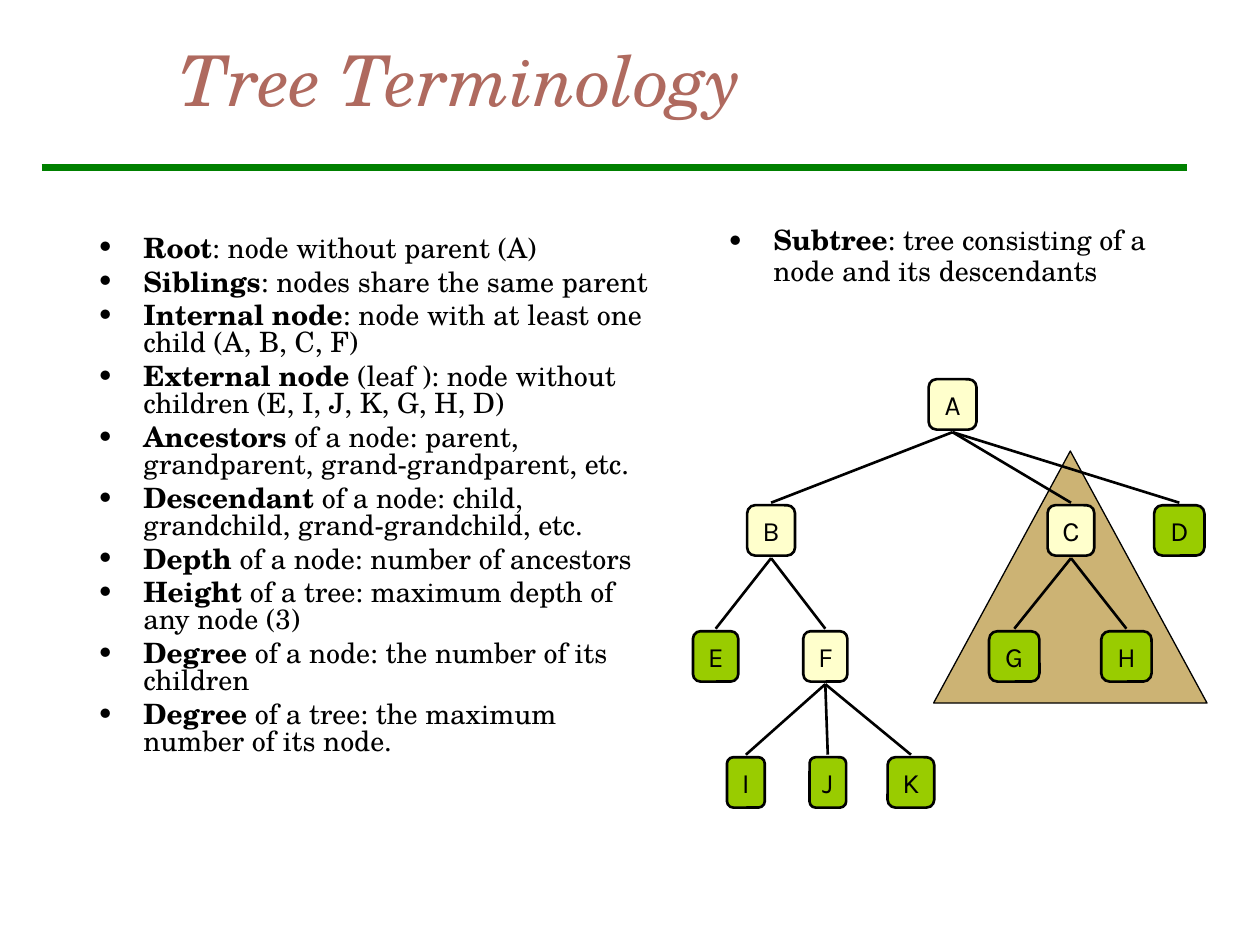
from dataclasses import dataclass

from lxml.etree import SubElement
from pptx import Presentation
from pptx.dml.color import RGBColor
from pptx.enum.shapes import MSO_CONNECTOR, MSO_SHAPE
from pptx.enum.text import MSO_ANCHOR, PP_ALIGN
from pptx.oxml.ns import qn
from pptx.shapes.autoshape import Shape
from pptx.slide import Slide
from pptx.util import Inches, Pt


@dataclass(frozen=True)
class Theme:
    title: RGBColor = RGBColor(0xAF, 0x6A, 0x5F)
    rule: RGBColor = RGBColor(0x00, 0x80, 0x00)
    ink: RGBColor = RGBColor(0x00, 0x00, 0x00)
    subtree: RGBColor = RGBColor(0xCC, 0xB3, 0x74)
    internal: RGBColor = RGBColor(0xFF, 0xFF, 0xCC)
    leaf: RGBColor = RGBColor(0x99, 0xCC, 0x00)
    serif: str = "TeX Gyre Schola"
    sans: str = "Karla"
    title_size: int = 40
    text_size: int = 16


@dataclass(frozen=True)
class Node:
    label: str
    center: float
    level: int
    width: float
    parent: str = ""


@dataclass(frozen=True)
class Term:
    name: str
    meaning: str


THEME = Theme()
ROOT_TOP = 3.01
LEVEL_STEP = 1.0
NODE_HEIGHT = 0.4
EDGE_GAP = 0.02
INDENT = 0.37

NODES = [
    Node("A", 7.56, 0, 0.38),
    Node("B", 6.12, 1, 0.38, "A"),
    Node("C", 8.5, 1, 0.37, "A"),
    Node("D", 9.36, 1, 0.4, "A"),
    Node("E", 5.68, 2, 0.36, "B"),
    Node("F", 6.55, 2, 0.35, "B"),
    Node("G", 8.05, 2, 0.4, "C"),
    Node("H", 8.94, 2, 0.4, "C"),
    Node("I", 5.92, 3, 0.3, "F"),
    Node("J", 6.57, 3, 0.29, "F"),
    Node("K", 7.23, 3, 0.37, "F"),
]

TERMS = [
    Term("Root", ": node without parent (A)"),
    Term("Siblings", ": nodes share the same parent"),
    Term("Internal node", ": node with at least one child (A, B, C, F)"),
    Term("External node", " (leaf ): node without children (E, I, J, K, G, H, D)"),
    Term("Ancestors", " of a node: parent, grandparent, grand-grandparent, etc."),
    Term("Descendant", " of a node: child, grandchild, grand-grandchild, etc."),
    Term("Depth", " of a node: number of ancestors"),
    Term("Height", " of a tree: maximum depth of any node (3)"),
    Term("Degree", " of a node: the number of its children"),
    Term("Degree", " of a tree: the maximum number of its node."),
]
SUBTREE = [Term("Subtree", ": tree consisting of a node and its descendants")]


def add_line(page: Slide, start: tuple[float, float], end: tuple[float, float],
             color: RGBColor, weight: float) -> None:
    """Draw a straight line without a shadow."""
    line = page.shapes.add_connector(
        MSO_CONNECTOR.STRAIGHT, *map(Inches, (*start, *end)))
    line.line.color.rgb = color
    line.line.width = Pt(weight)
    SubElement(line._element.spPr, qn("a:effectLst"))


def add_filled(page: Slide, kind: MSO_SHAPE, place: tuple[float, float, float, float],
               fill: RGBColor, weight: float) -> Shape:
    """Draw an outlined preset shape without a shadow."""
    shape = page.shapes.add_shape(kind, *map(Inches, place))
    shape.shadow.inherit = False
    shape.fill.solid()
    shape.fill.fore_color.rgb = fill
    shape.line.color.rgb = THEME.ink
    shape.line.width = Pt(weight)
    return shape


def add_title(page: Slide, text: str) -> None:
    """Write the slide heading."""
    frame = page.shapes.add_textbox(
        Inches(1.33), Inches(0), Inches(8.5), Inches(1.25)).text_frame
    frame.word_wrap = True
    frame.vertical_anchor = MSO_ANCHOR.MIDDLE
    paragraph = frame.paragraphs[0]
    paragraph.text = text
    font = paragraph.font
    font.name, font.size, font.italic = THEME.serif, Pt(THEME.title_size), True
    font.color.rgb = THEME.title


def add_terms(page: Slide, place: tuple[float, float, float, float],
              terms: list[Term], spacing: float) -> None:
    """Write a bulleted list of terms with bold names."""
    frame = page.shapes.add_textbox(*map(Inches, place)).text_frame
    frame.word_wrap = True
    for index, term in enumerate(terms):
        paragraph = frame.add_paragraph() if index else frame.paragraphs[0]
        paragraph.line_spacing = spacing
        if index:
            paragraph.space_before = Pt(4)
        properties = paragraph._p.get_or_add_pPr()
        properties.set("marL", str(Inches(INDENT)))
        properties.set("indent", str(-Inches(INDENT)))
        SubElement(properties, qn("a:buFont"), typeface=THEME.serif)
        SubElement(properties, qn("a:buChar"), char="•")
        font = paragraph.font
        font.name, font.size = THEME.serif, Pt(THEME.text_size)
        font.color.rgb = THEME.ink
        name = paragraph.add_run()
        name.text = term.name
        name.font.bold = True
        paragraph.add_run().text = term.meaning


def node_top(node: Node) -> float:
    """Return the top edge of a node's level."""
    return ROOT_TOP + node.level * LEVEL_STEP


def add_node(page: Slide, node: Node, fill: RGBColor) -> None:
    """Draw one labelled tree node."""
    place = (node.center - node.width / 2, node_top(node), node.width, NODE_HEIGHT)
    shape = add_filled(page, MSO_SHAPE.ROUNDED_RECTANGLE, place, fill, 1.5)
    frame = shape.text_frame
    frame.word_wrap = False
    frame.vertical_anchor = MSO_ANCHOR.MIDDLE
    paragraph = frame.paragraphs[0]
    paragraph.text = node.label
    paragraph.alignment = PP_ALIGN.CENTER
    font = paragraph.font
    font.name, font.size = THEME.sans, Pt(THEME.text_size)
    font.color.rgb = THEME.ink


def add_tree(page: Slide) -> None:
    """Draw all nodes and the edges to their parents."""
    by_label = {node.label: node for node in NODES}
    parents = {node.parent for node in NODES}
    for node in NODES:
        add_node(page, node, THEME.internal if node.label in parents else THEME.leaf)
        if node.parent:
            parent = by_label[node.parent]
            start = (parent.center, node_top(parent) + NODE_HEIGHT + EDGE_GAP)
            end = (node.center, node_top(node) - EDGE_GAP)
            add_line(page, start, end, THEME.ink, 1.5)


def main() -> None:
    """Build the tree terminology slide."""
    deck = Presentation()
    deck.slide_width, deck.slide_height = Inches(10), Inches(7.5)
    page = deck.slides.add_slide(deck.slide_layouts[6])
    add_line(page, (0.33, 1.33), (9.42, 1.33), THEME.rule, 4)
    add_filled(page, MSO_SHAPE.ISOSCELES_TRIANGLE, (7.41, 3.58, 2.17, 2),
               THEME.subtree, 0.75)
    add_title(page, "Tree Terminology")
    add_terms(page, (0.67, 1.83, 4.6, 5.17), TERMS, 0.8)
    add_tree(page)
    add_terms(page, (5.67, 1.75, 3.83, 1.08), SUBTREE, 0.9)
    deck.save("out.pptx")


if __name__ == "__main__":
    main()
